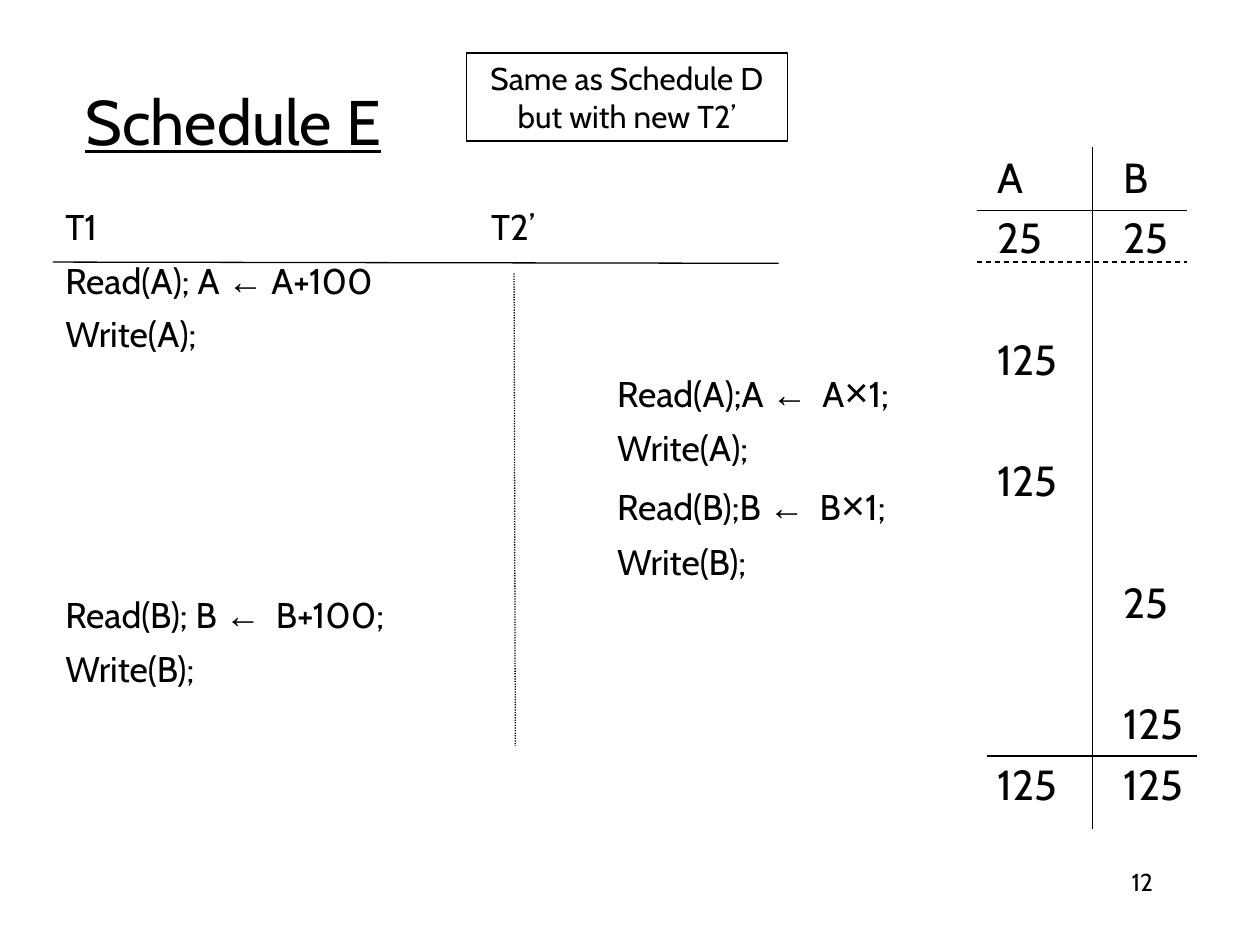
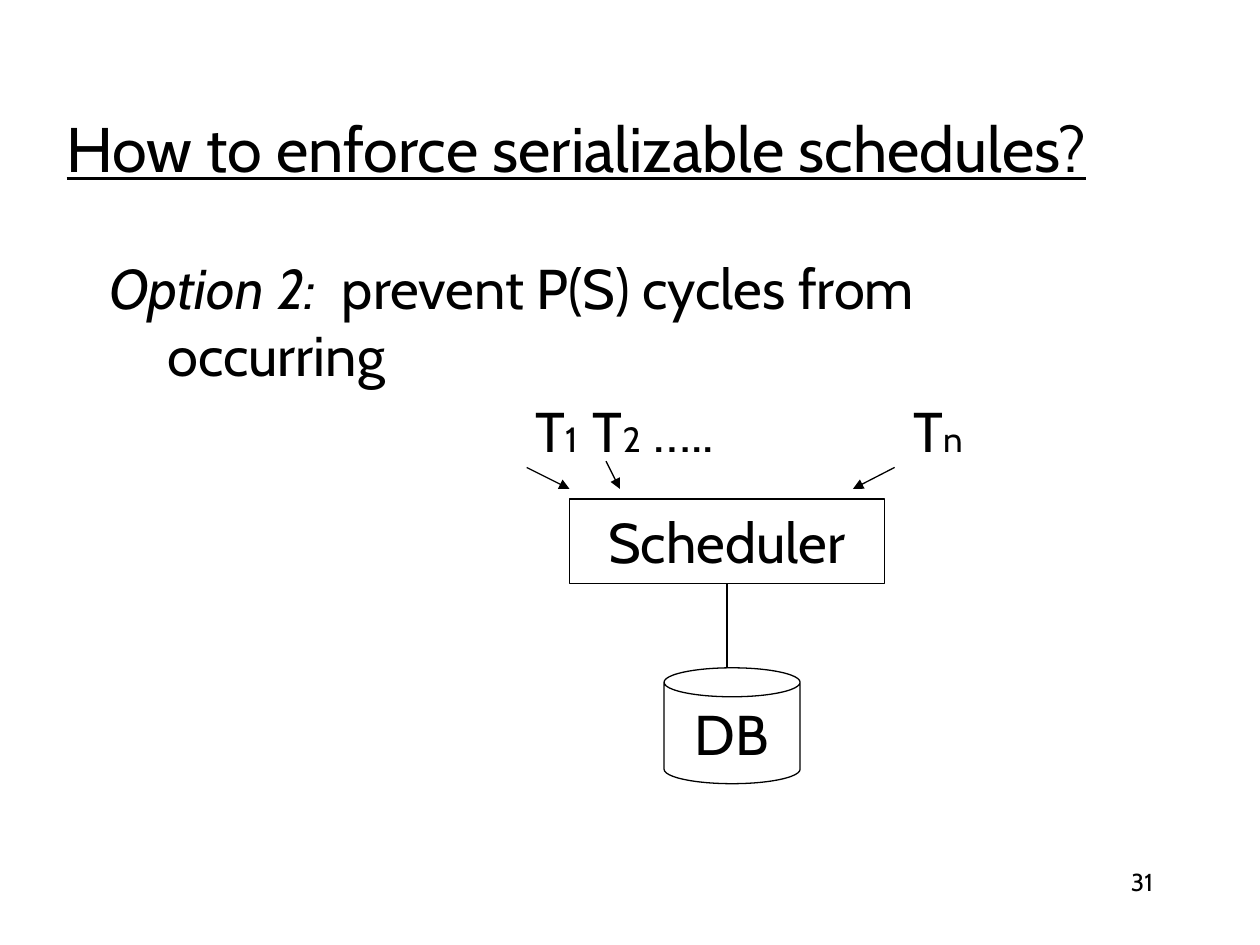
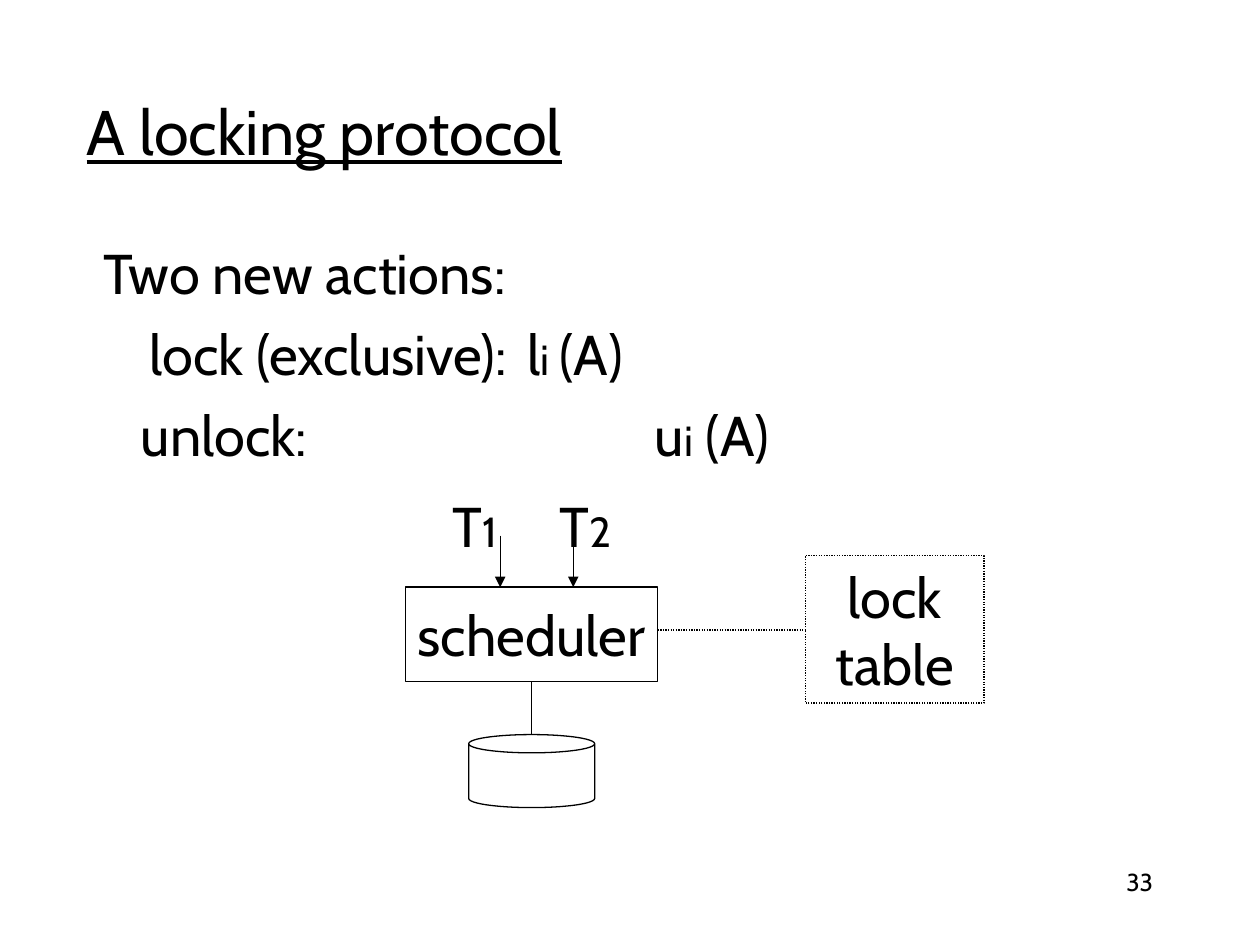
from lxml import etree
from pptx import Presentation
from pptx.dml.color import RGBColor
from pptx.enum.dml import MSO_LINE
from pptx.enum.shapes import MSO_CONNECTOR, MSO_SHAPE
from pptx.enum.text import MSO_ANCHOR, PP_ALIGN
from pptx.oxml.ns import qn
from pptx.util import Inches, Pt

BLACK = RGBColor(0x00, 0x00, 0x00)
WHITE = RGBColor(0xFF, 0xFF, 0xFF)
FONT, SYMBOL_FONT = "Cabin", "Arial"
LEFT, CENTER, RIGHT = PP_ALIGN.LEFT, PP_ALIGN.CENTER, PP_ALIGN.RIGHT
TOP, MIDDLE = MSO_ANCHOR.TOP, MSO_ANCHOR.MIDDLE
RECTANGLE, CAN = MSO_SHAPE.RECTANGLE, MSO_SHAPE.CAN
DASHED, DOTTED = MSO_LINE.DASH, MSO_LINE.ROUND_DOT
STRAIGHT = MSO_CONNECTOR.STRAIGHT

# Content: a paragraph is a list of runs, a run is (text, overrides)
ARROW = ("←", {"font": SYMBOL_FONT})
TIMES = ("×", {"font": SYMBOL_FONT, "size": 23.8})


def plain(text):
    return (text, {})


def small(text, size):
    return (text, {"size": size})


def wide_space(extra_points):
    return (" ", {"spacing": extra_points})


def multiply(name):
    return [plain(f"Read({name});{name} "), ARROW, wide_space(4), plain(name), TIMES,
            plain("1;")]


T2_COLUMN = 4.38
SCHEDULE = [  # runs, left margin, tab stops
    ([plain("T1\tT2’")], 0, [3.38]),
    ([plain("Read(A); A "), ARROW, plain(" A+100")], 0, []),
    ([plain("Write(A);")], 0, []),
    (multiply("A"), T2_COLUMN, []),
    ([plain("Write(A);")], T2_COLUMN, []),
    (multiply("B"), T2_COLUMN, []),
    ([plain("Write(B);")], T2_COLUMN, []),
    ([plain("Read(B); B "), ARROW, wide_space(4), plain("B+100;")], 0, []),
    ([plain("Write(B);")], 0, []),
]
VALUES = [  # text, empty rows above
    ("A\tB", 0), ("25\t25", 0), ("125", 1), ("125", 1),
    ("\t25", 1), ("\t125", 1), ("125\t125", 0),
]
VALUE_GAP, VALUE_ROW = 6, 34.6
VALUE_LINES = [  # from x, from y, to x, to y, dash
    (7.75, 1.67, 9.42, 1.67, None),
    (7.75, 2.08, 9.42, 2.08, DASHED),
    (8.67, 1.17, 8.67, 6.58, None),
    (7.83, 6, 9.5, 6, None),
]
OPTION = [("Option 2:", {"italic": True}), wide_space(7.4),
          plain("prevent P(S) cycles from"), plain("\n"), plain("occurring")]
TRANSACTIONS = [plain("\tT"), small("1", 20), wide_space(1.5), plain("T"), small("2", 20),
                plain(" …..\tT"), small("n", 20)]
SCHEDULER_ARROWS = [(4.18, 3.71, 4.52, 3.88), (4.81, 3.66, 4.92, 3.88),
                    (7.1, 3.71, 6.77, 3.88)]
ACTIONS = [  # runs, tab stops
    ([plain("Two new actions:")], []),
    ([plain("\tlock (exclusive):\tl"), small("i ", 24), plain("(A)")], [0.37, 3.37]),
    ([plain("\tunlock:\tu"), small("i", 24), plain(" (A)")], [0.3, 4.38]),
]
LOCK_ARROWS = [(3.97, 4.25, 3.97, 4.66), (4.55, 4.16, 4.55, 4.66)]


# Text helpers
def write_paragraph(text_frame, runs, size, align=LEFT, before=0, margin=0,
                    hanging=0, tabs=()):
    first = text_frame.paragraphs[0]
    is_first = not first.runs
    paragraph = first if is_first else text_frame.add_paragraph()
    paragraph.alignment = align
    if before and not is_first:
        paragraph.space_before = Pt(before)
    properties = paragraph._p.get_or_add_pPr()
    if margin:
        properties.set("marL", str(Inches(margin)))
    if hanging:
        properties.set("indent", str(-Inches(hanging)))
    if tabs:
        tab_list = etree.SubElement(properties, qn("a:tabLst"))
        for position in tabs:
            etree.SubElement(tab_list, qn("a:tab"), pos=str(Inches(position)), algn="l")
    for text, overrides in runs:
        if text == "\n":
            paragraph.add_line_break()
            continue
        run = paragraph.add_run()
        run.text = text
        run.font.name = overrides.get("font", FONT)
        run.font.size = Pt(overrides.get("size", size))
        run.font.italic = overrides.get("italic", False)
        run.font.underline = overrides.get("underline", False)
        run.font.color.rgb = BLACK
        if "spacing" in overrides:
            run._r.get_or_add_rPr().set("spc", str(round(overrides["spacing"] * 100)))


def add_text_box(slide, left, top, width, height, anchor=TOP):
    box = slide.shapes.add_textbox(Inches(left), Inches(top), Inches(width), Inches(height))
    box.text_frame.word_wrap = True
    box.text_frame.vertical_anchor = anchor
    return box.text_frame


# Drawing helpers
def style_line(line, dash):
    line.color.rgb = BLACK
    line.width = Pt(0.75)
    if dash:
        line.dash_style = dash


def add_block(slide, kind, left, top, width, height, lines=(), size=32, dash=None):
    shape = slide.shapes.add_shape(
        kind, Inches(left), Inches(top), Inches(width), Inches(height))
    shape.shadow.inherit = False
    shape.fill.solid()
    shape.fill.fore_color.rgb = WHITE
    style_line(shape.line, dash)
    shape.text_frame.word_wrap = False
    shape.text_frame.vertical_anchor = MIDDLE
    for text in lines:
        write_paragraph(shape.text_frame, [plain(text)], size, CENTER)


def add_line(slide, x1, y1, x2, y2, dash=None, arrow=False):
    connector = slide.shapes.add_connector(
        STRAIGHT, Inches(x1), Inches(y1), Inches(x2), Inches(y2))
    style_line(connector.line, dash)
    if arrow:
        etree.SubElement(connector.line._get_or_add_ln(), qn("a:tailEnd"), type="triangle")
    etree.SubElement(connector._element.spPr, qn("a:effectLst"))


def add_slide(presentation, title, left, top, width, number):
    slide = presentation.slides.add_slide(presentation.slide_layouts[6])
    title_frame = add_text_box(slide, left, top, width, 1.25, MIDDLE)
    write_paragraph(title_frame, [(title, {"underline": True})], 36)
    number_frame = add_text_box(slide, 7.17, 6.83, 2.08, 0.5)
    write_paragraph(number_frame, [plain(number)], 14, RIGHT)
    return slide


# Slides
def build_schedule(presentation):
    slide = add_slide(presentation, "Schedule E", 0.58, 0.33, 8.5, "12")
    schedule = add_text_box(slide, 0.42, 1.58, 7.17, 4.75)
    for runs, margin, tabs in SCHEDULE:
        write_paragraph(schedule, runs, 20.4, before=6, margin=margin, tabs=tabs)
    add_line(slide, 0.42, 2.08, 6.18, 2.09)
    add_line(slide, 4.08, 2.17, 4.09, 5.92, DOTTED)

    values = add_text_box(slide, 7.82, 1.14, 1.77, 5.34, MIDDLE)
    for text, empty_rows in VALUES:
        write_paragraph(values, [plain(text)], 24,
                        before=VALUE_GAP + empty_rows * VALUE_ROW, tabs=[1])
    for line in VALUE_LINES:
        add_line(slide, *line)
    add_block(slide, RECTANGLE, 3.7, 0.42, 2.55, 0.7,
              ["Same as Schedule D", "but with new T2’"], 18)


def build_enforcement(presentation):
    slide = add_slide(presentation, "How to enforce serializable schedules?",
                      0.43, 0.54, 8.75, "31")
    body = add_text_box(slide, 0.77, 1.96, 8.5, 4.5)
    write_paragraph(body, OPTION, 32, margin=0.46, hanging=0.46)
    write_paragraph(body, TRANSACTIONS, 32, before=5, tabs=[3.38, 6.38])
    add_block(slide, RECTANGLE, 4.52, 3.96, 2.5, 0.67, ["Scheduler"])
    add_block(slide, CAN, 5.27, 5.3, 1.08, 0.92, ["DB"])
    add_line(slide, 5.77, 4.63, 5.77, 5.3)
    for arrow in SCHEDULER_ARROWS:
        add_line(slide, *arrow, arrow=True)


def build_locking(presentation):
    slide = add_slide(presentation, "A locking protocol", 0.59, 0.41, 8.5, "33")
    body = add_text_box(slide, 0.72, 1.84, 8.5, 4.5)
    for runs, tabs in ACTIONS:
        write_paragraph(body, runs, 32, before=8, tabs=tabs)
    add_block(slide, RECTANGLE, 3.22, 4.66, 2, 0.75, ["scheduler"])
    add_block(slide, CAN, 3.72, 5.83, 1, 0.58)
    add_line(slide, 4.22, 5.41, 4.22, 5.83)
    transactions = add_text_box(slide, 3.49, 3.85, 1.65, 0.64, MIDDLE)
    write_paragraph(transactions, [plain("T"), small("1", 24), plain("\tT"), small("2", 24)],
                    32, tabs=[0.85])
    for arrow in LOCK_ARROWS:
        add_line(slide, *arrow, arrow=True)
    add_block(slide, RECTANGLE, 6.39, 4.41, 1.42, 1.17, ["lock", "table"], dash=DOTTED)
    add_line(slide, 5.22, 5, 6.39, 5, DOTTED)


def main():
    presentation = Presentation()
    presentation.slide_width = Inches(10)
    presentation.slide_height = Inches(7.5)
    build_schedule(presentation)
    build_enforcement(presentation)
    build_locking(presentation)
    presentation.save("out.pptx")


if __name__ == "__main__":
    main()
